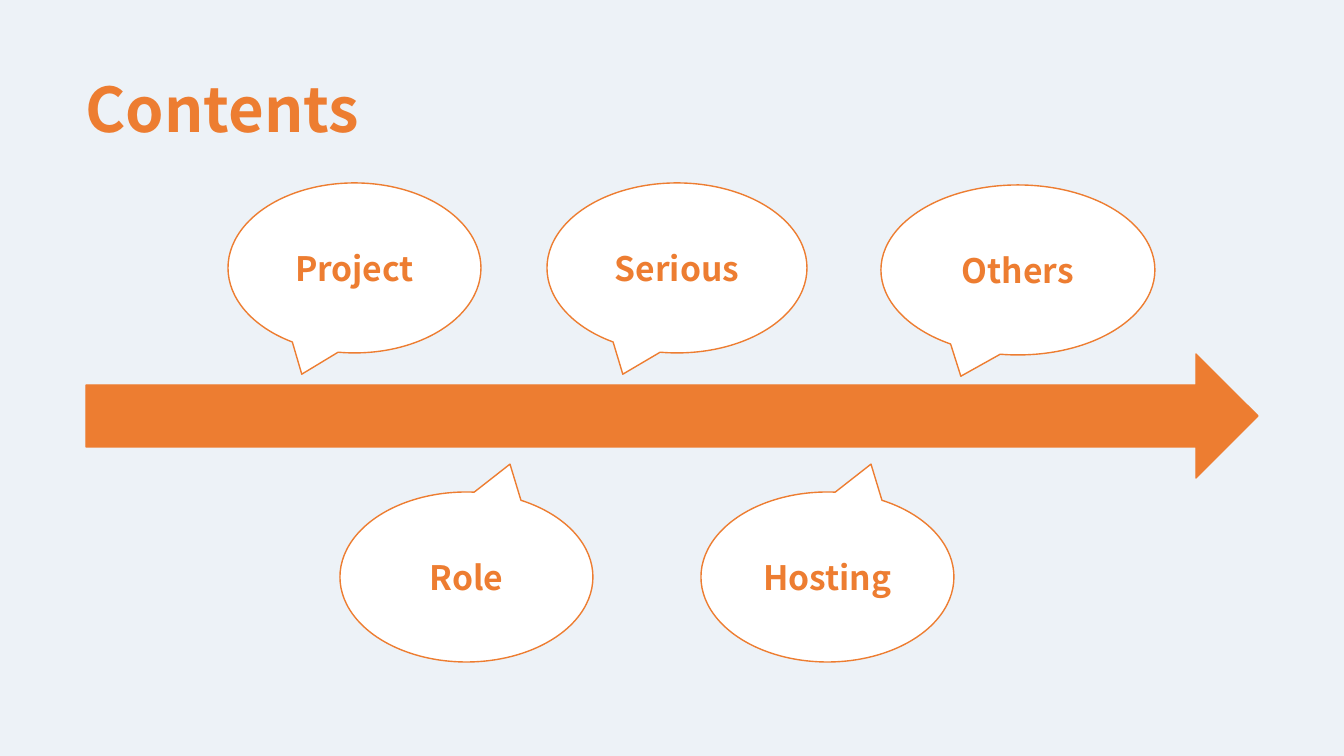
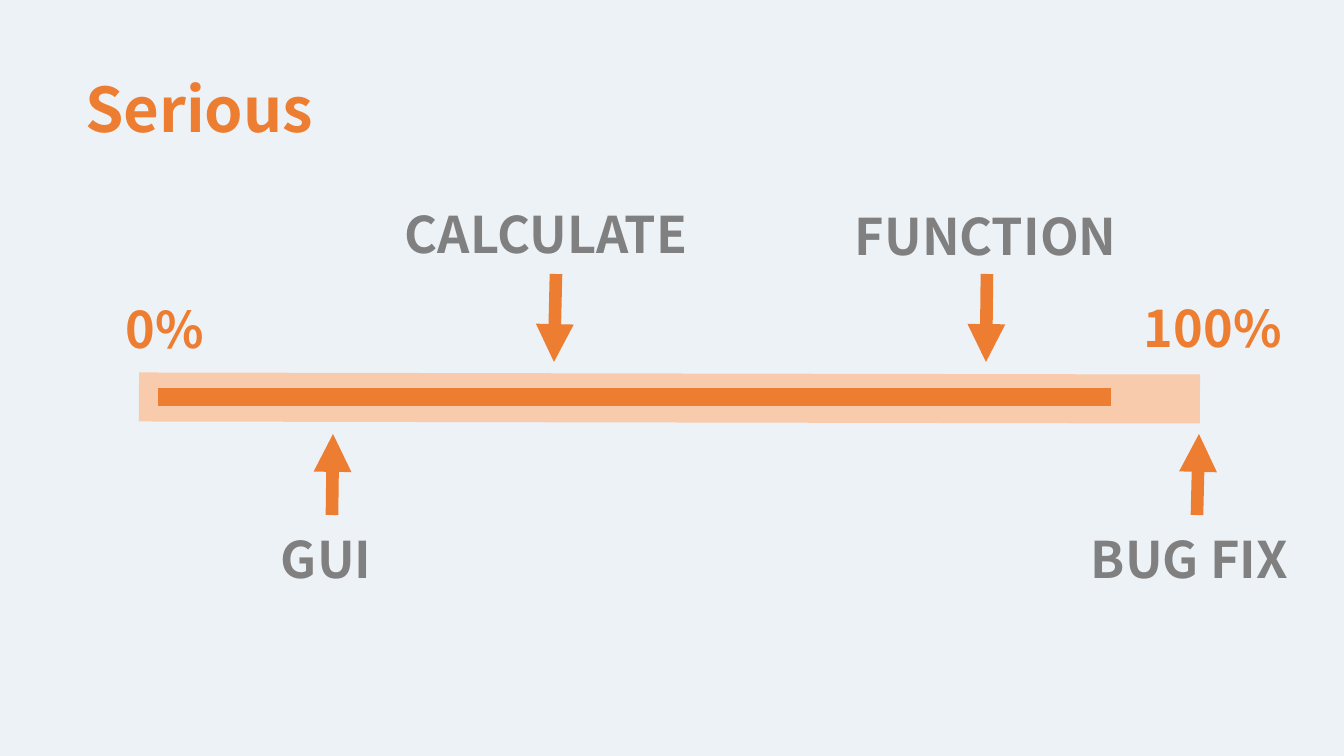
"""Build a contents slide and a progress slide in one shared style."""
from lxml.etree import SubElement
from pptx import Presentation
from pptx.dml.color import RGBColor
from pptx.enum.shapes import MSO_CONNECTOR as Line, MSO_SHAPE as Shape
from pptx.enum.text import MSO_ANCHOR as Anchor, PP_ALIGN as Align
from pptx.oxml.ns import qn
from pptx.util import Pt

COLORS = {"back": "EDF2F7", "main": "ED7D31", "pale": "F8CBAD",
          "gray": "808080", "white": "FFFFFF"}
RGB = {name: RGBColor.from_string(code) for name, code in COLORS.items()}
FONT = {"name": "Noto Sans CJK KR", "bold": True}
PX = 12192000 / 1344


def px(*sizes):
    return [round(size * PX) for size in sizes]


def write(shape, text, size, color="main", align=Align.LEFT, anchor=Anchor.TOP):
    frame = shape.text_frame
    frame.word_wrap = True
    frame.vertical_anchor = anchor
    para = frame.paragraphs[0]
    para.alignment = align
    run = para.add_run()
    run.text = text
    for key, value in {**FONT, "size": Pt(size)}.items():
        setattr(run.font, key, value)
    run.font.color.rgb = RGB[color]


deck = Presentation()
deck.slide_width, deck.slide_height = px(1344, 756)
fill = deck.slide_master.background.fill
fill.solid()
fill.fore_color.rgb = RGB["back"]

layout = deck.slide_layouts[5]
head = layout.placeholders[0]
head.left, head.top, head.width, head.height = px(75, 66, 725, 85)

slides = []
for title in ("Contents", "Serious"):
    slide = deck.slides.add_slide(layout)
    write(slide.shapes.title, title, 44)
    slides.append(slide)
contents, serious = slides

UP = (0.172, -0.664)
figures = [
    (Shape.RIGHT_ARROW, "", (86, 354, 1172, 124), (), "main"),
    (Shape.OVAL_CALLOUT, "Project", (228, 183, 253, 170), (), "white"),
    (Shape.OVAL_CALLOUT, "Role", (340, 492, 253, 170), UP, "white"),
    (Shape.OVAL_CALLOUT, "Serious", (547, 183, 260, 170), (), "white"),
    (Shape.OVAL_CALLOUT, "Hosting", (701, 492, 253, 170), UP, "white"),
    (Shape.OVAL_CALLOUT, "Others", (881, 185, 274, 170), (), "white"),
]
for kind, text, box, tip, color in figures:
    shape = contents.shapes.add_shape(kind, *px(*box))
    shape.shadow.inherit = False
    shape.fill.solid()
    shape.fill.fore_color.rgb = RGB[color]
    shape.line.color.rgb = RGB["main"]
    shape.line.width = Pt(1)
    for index, value in enumerate(tip):
        shape.adjustments[index] = value
    if text:
        write(shape, text, 24, align=Align.CENTER, anchor=Anchor.MIDDLE)

lines = [
    ((139, 397, 1200, 399), "pale", 35, False),
    ((158, 397, 1111, 397), "main", 13, False),
    ((332, 515, 333, 434), "main", 9, True),
    ((556, 274, 554, 362), "main", 9, True),
    ((1197, 515, 1199, 434), "main", 9, True),
    ((987, 274, 986, 362), "main", 9, True),
]
for ends, color, width, arrow in lines:
    line = serious.shapes.add_connector(Line.STRAIGHT, *px(*ends))
    line.line.color.rgb = RGB[color]
    line.line.width = Pt(width)
    if arrow:
        SubElement(line.line._get_or_add_ln(), qn("a:tailEnd"), type="triangle")
    SubElement(line._element.spPr, qn("a:effectLst"))

labels = [
    ("0%", 116, 293, 124, "main"),
    ("100%", 1134, 292, 165, "main"),
    ("CALCULATE", 395, 198, 323, "gray"),
    ("FUNCTION", 845, 200, 289, "gray"),
    ("GUI", 271, 523, 124, "gray"),
    ("BUG FIX", 1081, 523, 232, "gray"),
]
for text, left, top, width, color in labels:
    label = serious.shapes.add_textbox(*px(left, top, width, 72))
    write(label, text, 36, color)

deck.save("out.pptx")
